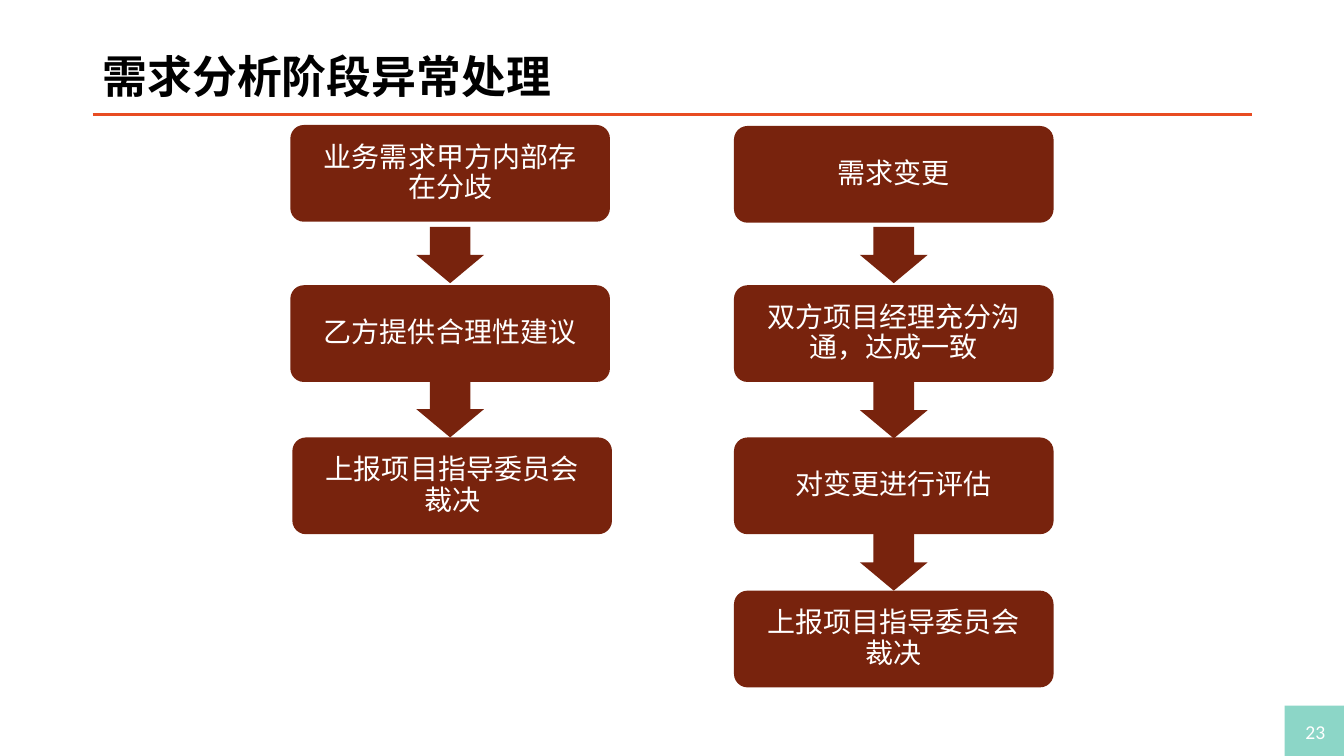
from dataclasses import dataclass

from lxml.etree import SubElement
from pptx import Presentation
from pptx.dml.color import RGBColor
from pptx.enum.shapes import MSO_CONNECTOR as Connector, MSO_SHAPE as Shape
from pptx.enum.text import MSO_ANCHOR as Anchor, PP_ALIGN as Align
from pptx.oxml.ns import qn
from pptx.util import Inches, Pt


@dataclass(frozen=True)
class Theme:
    """Colours, fonts and type sizes of the slide."""
    box: str = "78230D"
    rule: str = "E84C22"
    badge: str = "8CD6C7"
    dark: str = "000000"
    light: str = "FFFFFF"
    chinese_font: str = "Noto Sans CJK SC"
    latin_font: str = "Calibri"
    title_size: int = 32
    step_size: int = 20
    number_size: int = 14


THEME = Theme()
BOX_WIDTH, BOX_HEIGHT = 3.17, 0.96
ARROW_WIDTH, ARROW_HEIGHT = 0.67, 0.56

# Each step: left, top, wording; each arrow top belongs to the gap below a step.
DISPUTE_STEPS = [
    (2.88, 1.24, "业务需求甲方内部存在分歧"),
    (2.88, 2.83, "乙方提供合理性建议"),
    (2.9, 4.34, "上报项目指导委员会裁决"),
]
DISPUTE_ARROWS = [2.25, 3.78]
CHANGE_STEPS = [
    (7.28, 1.25, "需求变更"),
    (7.28, 2.83, "双方项目经理充分沟通，达成一致"),
    (7.28, 4.34, "对变更进行评估"),
    (7.28, 5.86, "上报项目指导委员会裁决"),
]
CHANGE_ARROWS = [2.25, 3.79, 5.3]


def write_text(shape, text, size, color, font, align=Align.CENTER,
               bold=False, inset=0.1, line_spacing=1.0):
    """Write one vertically centred paragraph into a shape."""
    frame = shape.text_frame
    frame.word_wrap = True
    frame.vertical_anchor = Anchor.MIDDLE
    frame.margin_left = frame.margin_right = Inches(inset)
    frame.margin_top = frame.margin_bottom = Inches(min(inset, 0.05))
    paragraph = frame.paragraphs[0]
    paragraph.alignment = align
    paragraph.line_spacing = line_spacing
    run = paragraph.add_run()
    run.text = text
    run.font.size = Pt(size)
    run.font.bold = bold
    run.font.color.rgb = RGBColor.from_string(color)
    run.font.name = font
    SubElement(run.font._element, qn("a:ea"), typeface=font)


def add_block(slide, kind, left, top, width, height, color):
    """Add a flat preset shape without outline or shadow."""
    shape = slide.shapes.add_shape(
        kind, Inches(left), Inches(top), Inches(width), Inches(height))
    shape.shadow.inherit = False
    shape.fill.solid()
    shape.fill.fore_color.rgb = RGBColor.from_string(color)
    shape.line.fill.background()
    return shape


def add_title(slide, text):
    """Add the slide title and the rule beneath it."""
    rule = slide.shapes.add_connector(
        Connector.STRAIGHT, Inches(0.92), Inches(1.14), Inches(12.42), Inches(1.14))
    rule.line.color.rgb = RGBColor.from_string(THEME.rule)
    rule.line.width = Pt(2.25)
    SubElement(rule._element.spPr, qn("a:effectLst"))
    title = slide.shapes.add_textbox(
        Inches(0.92), Inches(0.4), Inches(11.5), Inches(0.76))
    write_text(title, text, THEME.title_size, THEME.dark, THEME.chinese_font,
               align=Align.LEFT, bold=True, line_spacing=0.9)


def add_page_number(slide, number):
    """Add the corner badge with the page number."""
    add_block(slide, Shape.RECTANGLE, 12.74, 7, 0.59, 0.5, THEME.badge)
    label = slide.shapes.add_textbox(
        Inches(12.77), Inches(7.06), Inches(0.55), Inches(0.4))
    write_text(label, number, THEME.number_size, THEME.light, THEME.latin_font)


def add_step(slide, left, top, text):
    """Add one rounded step box."""
    box = add_block(slide, Shape.ROUNDED_RECTANGLE, left, top,
                    BOX_WIDTH, BOX_HEIGHT, THEME.box)
    box.adjustments[0] = 0.14
    write_text(box, text, THEME.step_size, THEME.light, THEME.chinese_font,
               inset=0.24, line_spacing=0.9)


def add_arrow(slide, center, top):
    """Add a down arrow centred on its column."""
    arrow = add_block(slide, Shape.DOWN_ARROW, center - ARROW_WIDTH / 2, top,
                      ARROW_WIDTH, ARROW_HEIGHT, THEME.box)
    arrow.adjustments[0] = 0.6
    arrow.adjustments[1] = 0.5


def add_flow(slide, steps, arrow_tops):
    """Add a column of steps joined by down arrows."""
    for left, top, text in steps:
        add_step(slide, left, top, text)
    center = steps[0][0] + BOX_WIDTH / 2
    for top in arrow_tops:
        add_arrow(slide, center, top)


def main():
    """Build the slide and save it."""
    presentation = Presentation()
    presentation.slide_width = Inches(13.33)
    presentation.slide_height = Inches(7.5)
    slide = presentation.slides.add_slide(presentation.slide_layouts[6])
    add_title(slide, "需求分析阶段异常处理")
    add_page_number(slide, "23")
    add_flow(slide, DISPUTE_STEPS, DISPUTE_ARROWS)
    add_flow(slide, CHANGE_STEPS, CHANGE_ARROWS)
    presentation.save("out.pptx")


main()
